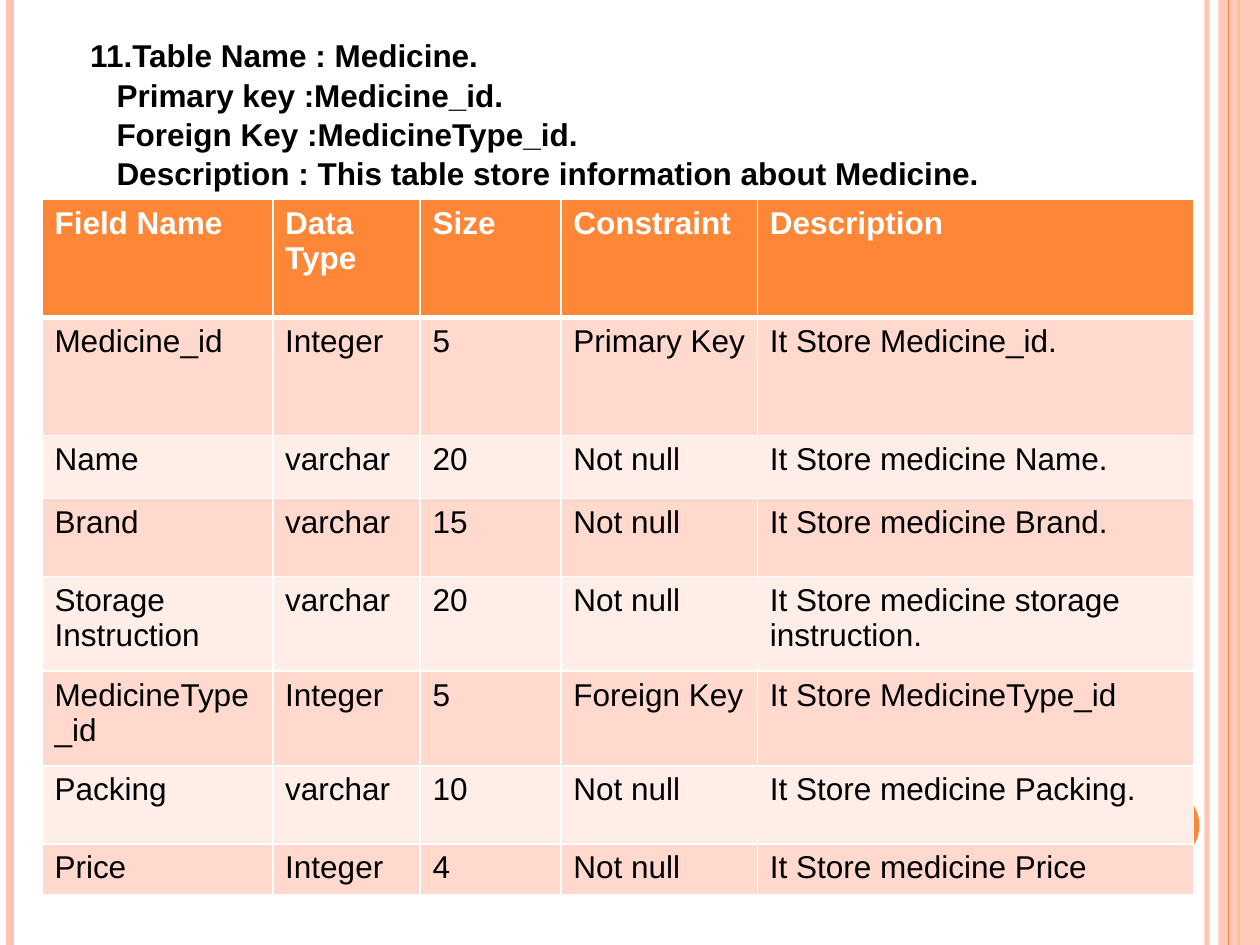
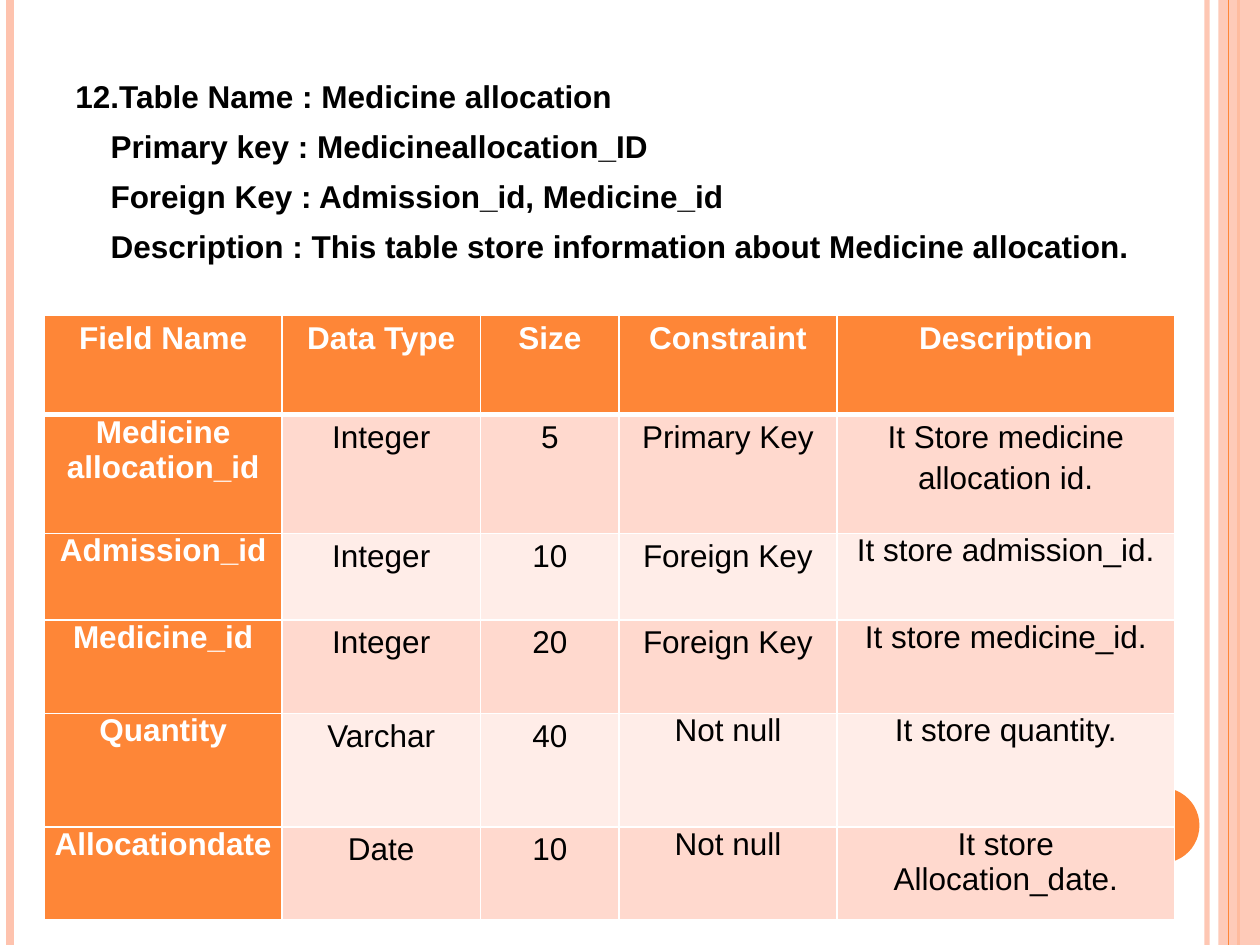
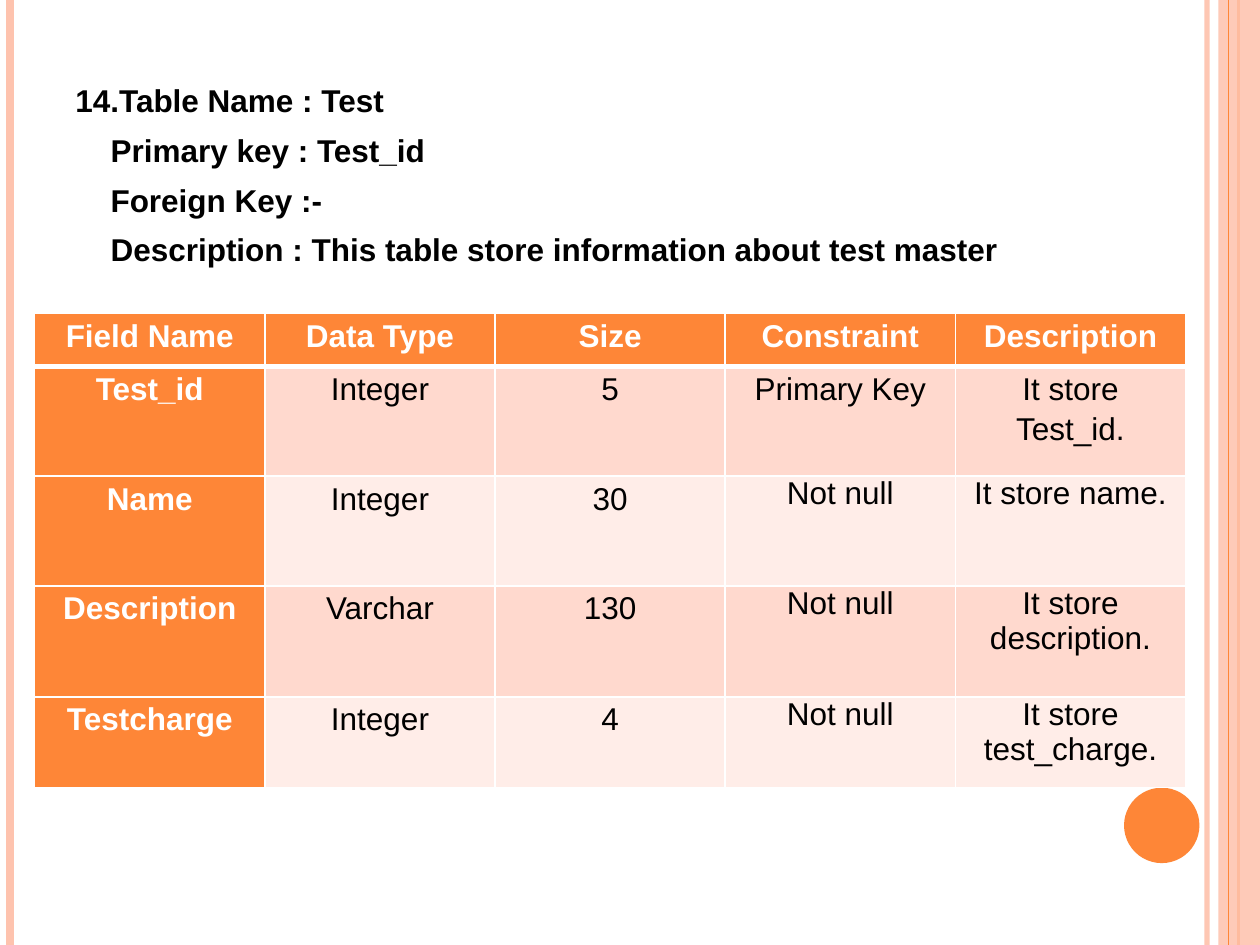
"""Build three slides that document the database tables of a hospital system."""
from dataclasses import dataclass

from lxml import etree
from pptx import Presentation
from pptx.dml.color import RGBColor
from pptx.enum.shapes import MSO_CONNECTOR, MSO_SHAPE
from pptx.enum.text import PP_ALIGN
from pptx.oxml.ns import qn
from pptx.util import Cm, Pt

STRAIGHT = MSO_CONNECTOR.STRAIGHT
RECTANGLE, OVAL = MSO_SHAPE.RECTANGLE, MSO_SHAPE.OVAL
LEFT, CENTER = PP_ALIGN.LEFT, PP_ALIGN.CENTER


@dataclass(frozen=True)
class Theme:
    orange: str = "FE8637"
    peach: str = "FEC3AE"
    dark_band: str = "FFD9CE"
    light_band: str = "FFEDE8"
    white: str = "FFFFFF"
    black: str = "000000"
    font: str = "Arial"
    size: float = 18
    heading_spacing: float = 1.04
    loose_spacing: float = 1.15
    border: float = 1
    header_border: float = 3


THEME = Theme()
WIDTH, HEIGHT = 25.4, 19.05
HEADER = ("Field Name", "Data Type", "Size", "Constraint", "Description")

# Each rule: x, colour, weight in points, opacity in percent.
RULES = [
    (24.33, THEME.peach, 3, 93),
    (0.2, THEME.peach, 4.5, 100),
    (24.97, THEME.orange, 1.5, 100),
    (24.77, THEME.orange, 0.75, 100),
]

SLIDES = [
    {
        "heading": [
            "11.Table Name : Medicine.",
            "Primary key :Medicine_id.",
            "Foreign Key :MedicineType_id.",
            "Description : This table store information about Medicine.",
        ],
        "heading_box": (1.57, 0.58, 20.04, 4.11),
        "indent": 0.53,
        "space_before": 0,
        "rows": [
            ("Medicine_id", "Integer", "5", "Primary Key", "It Store Medicine_id."),
            ("Name", "varchar", "20", "Not null", "It Store medicine Name."),
            ("Brand", "varchar", "15", "Not null", "It Store medicine Brand."),
            ("Storage Instruction", "varchar", "20", "Not null",
             "It Store medicine storage instruction."),
            ("MedicineType\n_id", "Integer", "5", "Foreign Key", "It Store MedicineType_id"),
            ("Packing", "varchar", "10", "Not null", "It Store medicine Packing."),
            ("Price", "Integer", "4", "Not null", "It Store medicine Price"),
        ],
        "table_at": (0.85, 4.02),
        "widths": [4.65, 2.97, 2.84, 3.96, 8.79],
        "heights": [2.38, 2.38, 1.27, 1.57, 1.91, 1.91, 1.57, 1.02],
        "margins": (0.25, 0.13),
        "align": LEFT,
        "field_column": False,
        "loose_rows": (0, 0, 0, 0, 0),
    },
    {
        "heading": [
            "12.Table Name : Medicine allocation",
            "Primary key : Medicineallocation_ID",
            "Foreign Key : Admission_id, Medicine_id",
            "Description : This table store information about Medicine allocation.",
        ],
        "heading_box": (1.27, 1.4, 22.86, 15.29),
        "indent": 0.71,
        "space_before": 6,
        "rows": [
            ("Medicine allocation_id", "Integer", "5", "Primary Key",
             "It Store medicine allocation id."),
            ("Admission_id", "Integer", "10", "Foreign Key", "It store admission_id."),
            ("Medicine_id", "Integer", "20", "Foreign Key", "It store medicine_id."),
            ("Quantity", "Varchar", "40", "Not null", "It store quantity."),
            ("Allocationdate", "Date", "10", "Not null", "It store Allocation_date."),
        ],
        "table_at": (0.9, 6.36),
        "widths": [4.78, 4.01, 2.79, 4.39, 6.81],
        "heights": [2, 2.39, 1.75, 1.88, 2.29, 1.88],
        "margins": (0.18, 0),
        "align": CENTER,
        "field_column": True,
        "loose_rows": (1, 6, 6, 4, 2),
    },
    {
        "heading": [
            "14.Table Name : Test",
            "Primary key : Test_id",
            "Foreign Key :-",
            "Description : This table store information about test master",
        ],
        "heading_box": (1.27, 1.48, 22.86, 15.29),
        "indent": 0.71,
        "space_before": 6,
        "rows": [
            ("Test_id", "Integer", "5", "Primary Key", "It store Test_id."),
            ("Name", "Integer", "30", "Not null", "It store name."),
            ("Description", "Varchar", "130", "Not null", "It store description."),
            ("Testcharge", "Integer", "4", "Not null", "It store test_charge."),
        ],
        "table_at": (0.7, 6.32),
        "widths": [4.64] * 5,
        "heights": [1.07, 2.21, 2.21, 2.24, 1.83],
        "margins": (0.2, 0),
        "align": CENTER,
        "field_column": True,
        "loose_rows": (5, 5, 5, 2, 2),
    },
]


def lengths(values):
    return [Cm(value) for value in values]


def set_opacity(shape, percent):
    if percent < 100:
        color = next(shape._element.spPr.iter(qn("a:srgbClr")))
        etree.SubElement(color, qn("a:alpha"), val=str(percent * 1000))


def add_rule(slide, x, color, weight, opacity):
    rule = slide.shapes.add_connector(STRAIGHT, Cm(x), 0, Cm(x), Cm(HEIGHT))
    rule.line.color.rgb = RGBColor.from_string(color)
    rule.line.width = Pt(weight)
    set_opacity(rule, opacity)
    etree.SubElement(rule._element.spPr, qn("a:effectLst"))


def add_solid(slide, kind, box, color, opacity=100):
    shape = slide.shapes.add_shape(kind, *lengths(box))
    shape.shadow.inherit = False
    shape.fill.solid()
    shape.fill.fore_color.rgb = RGBColor.from_string(color)
    shape.line.fill.background()
    set_opacity(shape, opacity)


def add_frame(slide):
    for rule in RULES[:3]:
        add_rule(slide, *rule)
    add_solid(slide, RECTANGLE, (24.56, 0, 0.84, HEIGHT), THEME.peach, 87)
    add_rule(slide, *RULES[3])
    add_solid(slide, OVAL, (22.66, 15.88, 1.52, 1.52), THEME.orange)


def style_text(paragraph, color, bold):
    for run in paragraph.runs:
        run.font.name = THEME.font
        run.font.size = Pt(THEME.size)
        run.font.bold = bold
        run.font.color.rgb = RGBColor.from_string(color)


def add_heading(slide, content):
    text_frame = slide.shapes.add_textbox(*lengths(content["heading_box"])).text_frame
    text_frame.word_wrap = True
    text_frame.text = "\n".join(content["heading"])
    for index, paragraph in enumerate(text_frame.paragraphs):
        paragraph.line_spacing = THEME.heading_spacing
        if index:
            paragraph.space_before = Pt(content["space_before"])
            paragraph._p.get_or_add_pPr().set("marL", str(Cm(content["indent"])))
        style_text(paragraph, THEME.black, True)


def set_borders(cell, row):
    weights = dict.fromkeys(("a:lnL", "a:lnR", "a:lnT", "a:lnB"), THEME.border)
    if row < 2:
        weights["a:lnT" if row else "a:lnB"] = THEME.header_border
    properties = cell._tc.get_or_add_tcPr()
    for tag, weight in weights.items():
        line = etree.SubElement(properties, qn(tag), w=str(Pt(weight)))
        fill = etree.SubElement(line, qn("a:solidFill"))
        etree.SubElement(fill, qn("a:srgbClr"), val=THEME.white)


def fill_cell(cell, text, row, column, content):
    is_label = row == 0 or (column == 0 and content["field_column"])
    band = THEME.dark_band if row % 2 else THEME.light_band
    set_borders(cell, row)
    cell.fill.solid()
    cell.fill.fore_color.rgb = RGBColor.from_string(THEME.orange if is_label else band)
    side, top = lengths(content["margins"])
    cell.margin_left = cell.margin_right = side
    cell.margin_top = cell.margin_bottom = top
    cell.text_frame.text = text
    for paragraph in cell.text_frame.paragraphs:
        paragraph.alignment = content["align"]
        if row < content["loose_rows"][column]:
            paragraph.line_spacing = THEME.loose_spacing
        style_text(paragraph, THEME.white if is_label else THEME.black, is_label)


def add_field_table(slide, content):
    rows = [HEADER, *content["rows"]]
    widths, heights = content["widths"], content["heights"]
    box = (*content["table_at"], sum(widths), sum(heights))
    table = slide.shapes.add_table(len(rows), len(HEADER), *lengths(box)).table
    table.first_row = table.horz_banding = False
    for column, width in zip(table.columns, lengths(widths)):
        column.width = width
    for row, height in zip(table.rows, lengths(heights)):
        row.height = height
    for row, texts in enumerate(rows):
        for column, text in enumerate(texts):
            fill_cell(table.cell(row, column), text, row, column, content)


def main():
    presentation = Presentation()
    presentation.slide_width, presentation.slide_height = Cm(WIDTH), Cm(HEIGHT)
    blank = presentation.slide_layouts[6]
    for content in SLIDES:
        slide = presentation.slides.add_slide(blank)
        add_frame(slide)
        add_heading(slide, content)
        add_field_table(slide, content)
    presentation.save("out.pptx")


if __name__ == "__main__":
    main()
